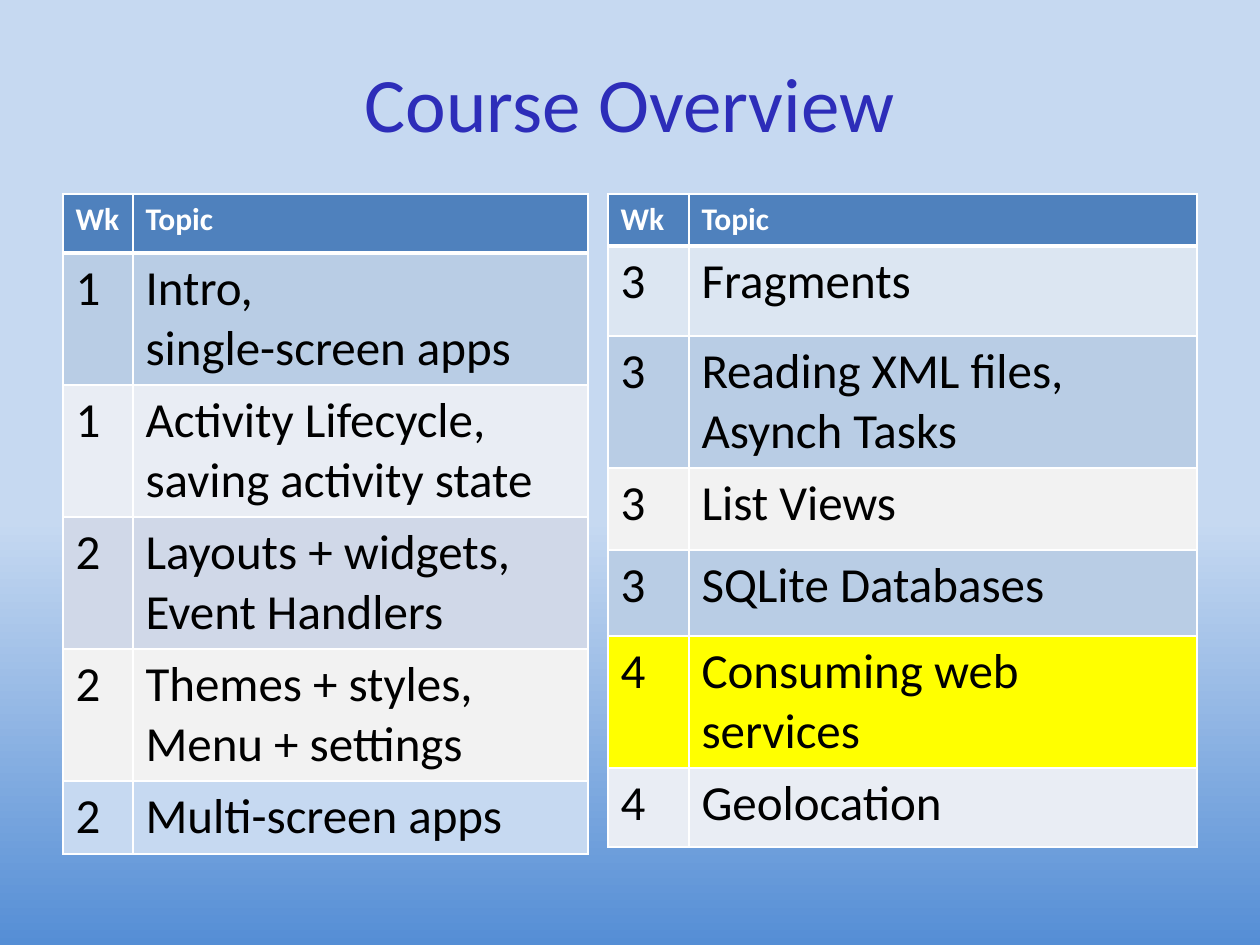
from pptx import Presentation
from pptx.dml.color import RGBColor
from pptx.enum.text import MSO_ANCHOR, PP_ALIGN
from pptx.oxml.ns import qn
from pptx.util import Pt
from lxml.etree import SubElement

PIXEL = 914400 // 126
FONT = "Calibri"

WHITE = RGBColor(0xFF, 0xFF, 0xFF)
BLACK = RGBColor(0x00, 0x00, 0x00)
TITLE_BLUE = RGBColor(0x2D, 0x2D, 0xB9)
HEADER_BLUE = RGBColor(0x4F, 0x81, 0xBD)
SKY = RGBColor(0xC6, 0xD9, 0xF1)
DEEP_SKY = RGBColor(0x55, 0x8E, 0xD5)
STEEL = RGBColor(0xB9, 0xCD, 0xE5)
ICE = RGBColor(0xDC, 0xE6, 0xF2)
MIST = RGBColor(0xE9, 0xED, 0xF4)
LAVENDER = RGBColor(0xD0, 0xD8, 0xE8)
GREY = RGBColor(0xF2, 0xF2, 0xF2)
YELLOW = RGBColor(0xFF, 0xFF, 0x00)

# Each row: height, week, topic, fill ("\v" breaks a line, "\n" a paragraph)
FIRST_WEEKS = [
    (59, "Wk", "Topic", HEADER_BLUE),
    (132, "1", "Intro,\vsingle-screen apps", STEEL),
    (132, "1", "Activity Lifecycle, saving activity state", MIST),
    (132, "2", "Layouts + widgets,\nEvent Handlers", LAVENDER),
    (132, "2", "Themes + styles,\nMenu + settings", GREY),
    (73, "2", "Multi-screen apps", SKY),
]
LAST_WEEKS = [
    (52, "Wk", "Topic", HEADER_BLUE),
    (90, "3", "Fragments", ICE),
    (132, "3", "Reading XML files,\nAsynch Tasks", STEEL),
    (82, "3", "List Views", GREY),
    (86, "3", "SQLite Databases", STEEL),
    (132, "4", "Consuming web services", YELLOW),
    (79, "4", "Geolocation", MIST),
]


def px(value):
    return value * PIXEL


def set_font(paragraph, size, color, bold=False):
    font = paragraph.font
    font.name, font.size, font.bold = FONT, Pt(size), bold
    font.color.rgb = color


def set_background(slide):
    fill = slide.background.fill
    fill.gradient()
    fill.gradient_angle = 270
    for stop, position, color in zip(fill.gradient_stops, (0.55, 1), (SKY, DEEP_SKY)):
        stop.position = position
        stop.color.rgb = color


def add_title(slide, text):
    box = slide.shapes.add_textbox(px(63), px(38), px(1134), px(128))
    frame = box.text_frame
    frame.word_wrap = True
    frame.vertical_anchor = MSO_ANCHOR.MIDDLE
    frame.text = text
    paragraph = frame.paragraphs[0]
    paragraph.alignment = PP_ALIGN.CENTER
    set_font(paragraph, 44, TITLE_BLUE)


def set_borders(cell, top, bottom):
    properties = cell._tc.get_or_add_tcPr()
    widths = {"a:lnL": 1, "a:lnR": 1, "a:lnT": top, "a:lnB": bottom}
    for index, (tag, width) in enumerate(widths.items()):
        line = SubElement(properties, qn(tag), w=str(Pt(width)))
        solid = SubElement(line, qn("a:solidFill"))
        SubElement(solid, qn("a:srgbClr"), val=str(WHITE))
        properties.insert(index, line)


def add_schedule(slide, left, column_widths, rows):
    height = sum(row[0] for row in rows)
    frame = slide.shapes.add_table(len(rows), len(column_widths), px(left), px(194),
                                   px(sum(column_widths)), px(height))
    table = frame.table
    for column, width in zip(table.columns, column_widths):
        column.width = px(width)
    for index, (row_height, week, topic, color) in enumerate(rows):
        table.rows[index].height = px(row_height)
        header = index == 0
        for column, text in enumerate((week, topic)):
            cell = table.cell(index, column)
            cell.text = text
            cell.fill.solid()
            cell.fill.fore_color.rgb = color
            set_borders(cell, 3 if index == 1 else 1, 3 if header else 1)
            for paragraph in cell.text_frame.paragraphs:
                if header:
                    set_font(paragraph, 18, WHITE, bold=True)
                else:
                    set_font(paragraph, 28, BLACK)


def main():
    presentation = Presentation()
    presentation.slide_width, presentation.slide_height = px(1260), px(945)
    slide = presentation.slides.add_slide(presentation.slide_layouts[6])
    set_background(slide)
    add_title(slide, "Course Overview")
    add_schedule(slide, 63, (70, 455), FIRST_WEEKS)
    add_schedule(slide, 608, (81, 508), LAST_WEEKS)
    presentation.save("out.pptx")


main()
